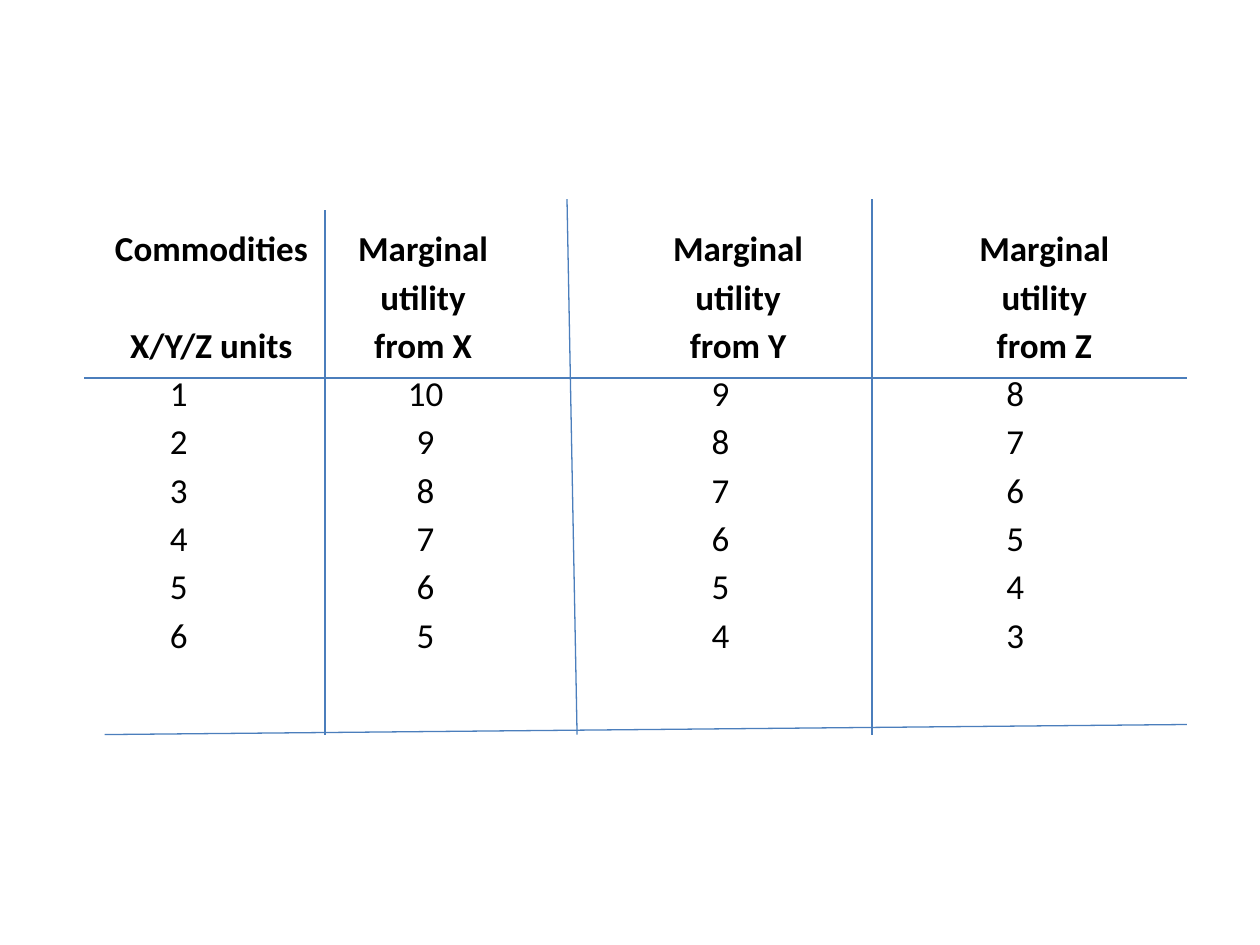
from typing import NamedTuple

from lxml.etree import SubElement
from pptx import Presentation
from pptx.dml.color import RGBColor
from pptx.enum.shapes import MSO_CONNECTOR
from pptx.oxml.ns import qn
from pptx.util import Inches, Pt

TEXT_COLOR = "000000"
RULE_COLOR = "4B7EBC"
BOX_LEFT, BOX_TOP, BOX_WIDTH, BOX_HEIGHT = 0.5, 1.75, 9, 4.95
INSET = 0.1


class Row(NamedTuple):
    cells: tuple[str, ...]
    centers: tuple[float, ...]
    bold: bool = False


class Rule(NamedTuple):
    x1: float
    y1: float
    x2: float
    y2: float


HEADER_CENTERS = (1.68, 3.36, 5.86, 8.29)
VALUE_CENTERS = (1.42, 3.38, 5.72, 8.06)
HEADERS = (
    ("Commodities", "Marginal", "Marginal", "Marginal"),
    ("", "utility", "utility", "utility"),
    ("X/Y/Z units", "from X", "from Y", "from Z"),
)
FIRST_UTILITIES = (10, 9, 8)
UNITS = 6

RULES = (
    Rule(0.67, 3, 9.42, 3),
    Rule(2.58, 1.67, 2.58, 5.83),
    Rule(4.5, 1.58, 4.58, 5.83),
    Rule(6.92, 1.58, 6.92, 5.83),
    Rule(0.83, 5.83, 9.42, 5.75),
)


def color(value: str) -> RGBColor:
    return RGBColor.from_string(value)


def utility_rows() -> list[Row]:
    """Header rows, then one row per unit; each utility falls by one."""
    rows = [Row(cells, HEADER_CENTERS, True) for cells in HEADERS]
    for unit in range(1, UNITS + 1):
        utilities = [first - unit + 1 for first in FIRST_UTILITIES]
        rows.append(Row(tuple(map(str, (unit, *utilities))), VALUE_CENTERS))
    return rows


def add_center_tabs(para, centers: tuple[float, ...]) -> None:
    tabs = SubElement(para._p.get_or_add_pPr(), qn("a:tabLst"))
    for center in centers:
        position = Inches(center - BOX_LEFT - INSET)
        SubElement(tabs, qn("a:tab"), pos=str(position), algn="ctr")


def write_row(para, row: Row) -> None:
    para.space_before = Pt(3.6)
    add_center_tabs(para, row.centers)
    span = para.add_run()
    span.text = "".join(f"\t{cell}" for cell in row.cells)
    for name, value in {"name": "Calibri", "size": Pt(20), "bold": row.bold}.items():
        setattr(span.font, name, value)
    span.font.color.rgb = color(TEXT_COLOR)


def add_rows(page, rows: list[Row]) -> None:
    box = page.shapes.add_textbox(
        *map(Inches, (BOX_LEFT, BOX_TOP, BOX_WIDTH, BOX_HEIGHT))
    )
    frame = box.text_frame
    frame.word_wrap = True
    for index, row in enumerate(rows):
        write_row(frame.add_paragraph() if index else frame.paragraphs[0], row)


def add_rule(page, rule: Rule) -> None:
    line = page.shapes.add_connector(MSO_CONNECTOR.STRAIGHT, *map(Inches, rule))
    line.line.color.rgb = color(RULE_COLOR)
    line.line.width = Pt(0.75)
    SubElement(line._element.spPr, qn("a:effectLst"))


def main() -> None:
    deck = Presentation()
    deck.slide_width, deck.slide_height = Inches(10), Inches(7.5)
    page = deck.slides.add_slide(deck.slide_layouts[6])
    add_rows(page, utility_rows())
    for rule in RULES:
        add_rule(page, rule)
    deck.save("out.pptx")


if __name__ == "__main__":
    main()
